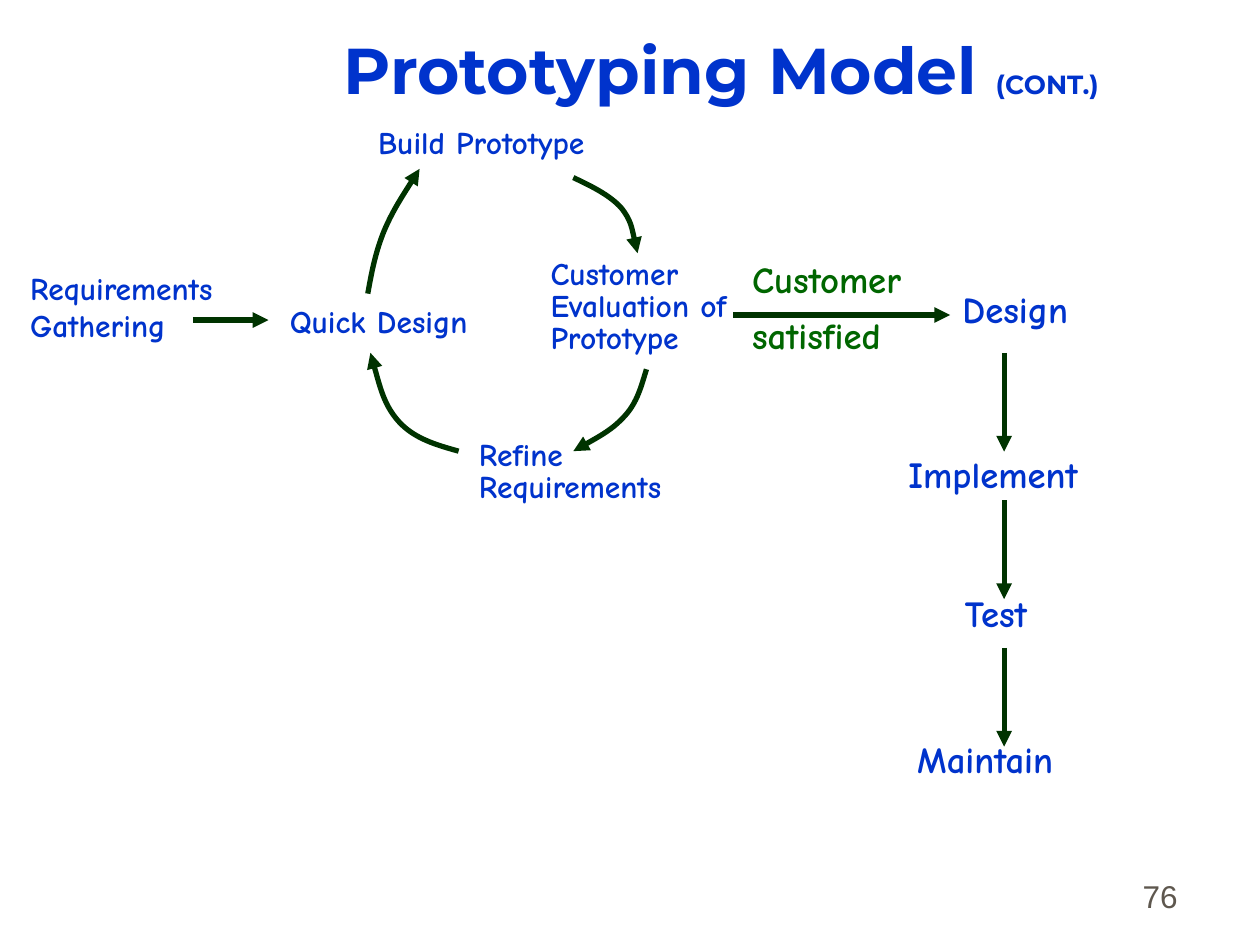
from lxml.etree import SubElement
from pptx import Presentation
from pptx.dml.color import RGBColor
from pptx.enum.shapes import MSO_CONNECTOR
from pptx.enum.text import MSO_ANCHOR, PP_ALIGN
from pptx.oxml.ns import qn
from pptx.util import Pt

BLUE, GREEN, DARK_GREEN, GREY = "0033CC", "006600", "003300", "5E574E"


def rgb(code):
    return RGBColor.from_string(code)


class Diagram:
    step_font = "Comic Neue"
    inset_x, inset_y = 1.4, 3.6
    arrow_width = 3

    def __init__(self, slide):
        self.slide = slide

    def set_frame(self, frame, anchor=MSO_ANCHOR.TOP):
        frame.word_wrap = True
        frame.vertical_anchor = anchor
        frame.margin_left = frame.margin_right = Pt(self.inset_x)
        frame.margin_top = frame.margin_bottom = Pt(self.inset_y)

    def set_font(self, font, name, size, color, bold=True):
        font.name, font.size, font.bold = name, Pt(size), bold
        font.color.rgb = rgb(color)

    def title(self, main, suffix, box):
        title = self.slide.shapes.title
        title.left, title.top, title.width, title.height = map(Pt, box)
        self.set_frame(title.text_frame, MSO_ANCHOR.MIDDLE)
        heading = title.text_frame.paragraphs[0]
        heading.alignment = PP_ALIGN.LEFT
        heading.line_spacing = 0.94
        self.set_font(heading.font, "Montserrat", 37, BLUE)
        heading.add_run().text = main
        small = heading.add_run()
        small.text = suffix
        small.font.size = Pt(15)

    def label(self, lines, box, size, color=BLUE, spacing=0.85, gap=2.8):
        frame = self.slide.shapes.add_textbox(*map(Pt, box)).text_frame
        self.set_frame(frame)
        for i, line in enumerate(lines):
            paragraph = frame.add_paragraph() if i else frame.paragraphs[0]
            paragraph.text = line
            paragraph.line_spacing = spacing
            if i:
                paragraph.space_before = Pt(gap)
            self.set_font(paragraph.font, self.step_font, size, color)

    def page_number(self, number, box):
        frame = self.slide.shapes.add_textbox(*map(Pt, box)).text_frame
        frame.word_wrap = True
        frame.vertical_anchor = MSO_ANCHOR.BOTTOM
        paragraph = frame.paragraphs[0]
        paragraph.text = number
        paragraph.alignment = PP_ALIGN.RIGHT
        self.set_font(paragraph.font, "Arial", 18, GREY, bold=False)

    def style_arrow(self, arrow):
        arrow.line.color.rgb = rgb(DARK_GREEN)
        arrow.line.width = Pt(self.arrow_width)
        SubElement(arrow.line._get_or_add_ln(), qn("a:tailEnd"), type="triangle")

    def arrow(self, x1, y1, x2, y2):
        arrow = self.slide.shapes.add_connector(
            MSO_CONNECTOR.STRAIGHT, *map(Pt, (x1, y1, x2, y2)))
        self.style_arrow(arrow)
        SubElement(arrow._element.spPr, qn("a:effectLst"))

    def curved_arrow(self, points):
        """Draw a chain of Bezier curves: a start, then three points per curve."""
        start, *rest = [(Pt(x), Pt(y)) for x, y in points]
        builder = self.slide.shapes.build_freeform(*start)
        builder.add_line_segments(rest, close=False)
        arrow = builder.convert_to_shape()
        outline = arrow._element.spPr.find(".//" + qn("a:path"))
        segments = outline.findall(qn("a:lnTo"))
        for i in range(0, len(segments), 3):
            curve = SubElement(outline, qn("a:cubicBezTo"))
            for segment in segments[i:i + 3]:
                curve.append(segment[0])
                outline.remove(segment)
        arrow.fill.background()
        self.style_arrow(arrow)
        arrow.shadow.inherit = False


def main():
    presentation = Presentation()
    presentation.slide_width, presentation.slide_height = Pt(720), Pt(540)
    diagram = Diagram(presentation.slides.add_slide(presentation.slide_layouts[5]))
    diagram.title("Prototyping Model ", "(CONT.)", (195, 13.7, 528.5, 56))

    diagram.label(["Requirements", "Gathering"], (15.8, 153.4, 133, 105), 18)
    diagram.label(["Quick Design"], (164.2, 169.2, 130, 41), 18, spacing=1)
    cycle_steps = [
        ("Build Prototype", (214.6, 69.8, 145, 71)),
        ("Customer Evaluation of Prototype", (313.2, 144.7, 145, 84)),
        ("Refine Requirements", (272.2, 248.4, 152, 71)),
    ]
    for step, box in cycle_steps:
        diagram.label([step], box, 18)

    delivery_steps = [
        ("Design", (548.6, 164.2, 109, 41)),
        ("Implement", (517.7, 258.5, 155, 41)),
        ("Test", (550, 337.7, 102, 30)),
        ("Maintain", (522.7, 421.2, 170, 41)),
    ]
    for step, box in delivery_steps:
        diagram.label([step], box, 21)
    diagram.label(["Customer", "satisfied"], (428.4, 143.3, 169, 71), 21,
                  color=GREEN, spacing=1, gap=6.8)

    cycle_curves = [
        [(210.2, 167.8), (212.4, 155.5), (214.6, 144), (219.6, 131.8),
         (224.6, 120.2), (232.6, 108), (239.8, 96.5)],
        [(327.6, 101.5), (338.4, 106.6), (348.5, 111.6), (355, 118.8),
         (360.7, 126), (362.2, 135.4), (364.3, 144.7)],
        [(369.4, 211), (366.5, 220.3), (364.3, 229.7), (357.1, 237.6),
         (349.9, 245.5), (339.1, 251.3), (327.6, 257.8)],
        [(262.1, 257.8), (249.1, 254.2), (236.9, 250.6), (228.2, 241.2),
         (219.6, 231.8), (216, 216.7), (211.7, 201.6)],
    ]
    for points in cycle_curves:
        diagram.curved_arrow(points)

    diagram.arrow(110.2, 182.9, 153.4, 182.9)
    diagram.arrow(419, 180, 542.9, 180)
    for i in range(len(delivery_steps) - 1):
        top = 201.6 + 84.3 * i
        diagram.arrow(573.8, top, 573.8, top + 56.5)

    diagram.page_number("76", (530, 490.3, 150, 36))
    presentation.save("out.pptx")


if __name__ == "__main__":
    main()
